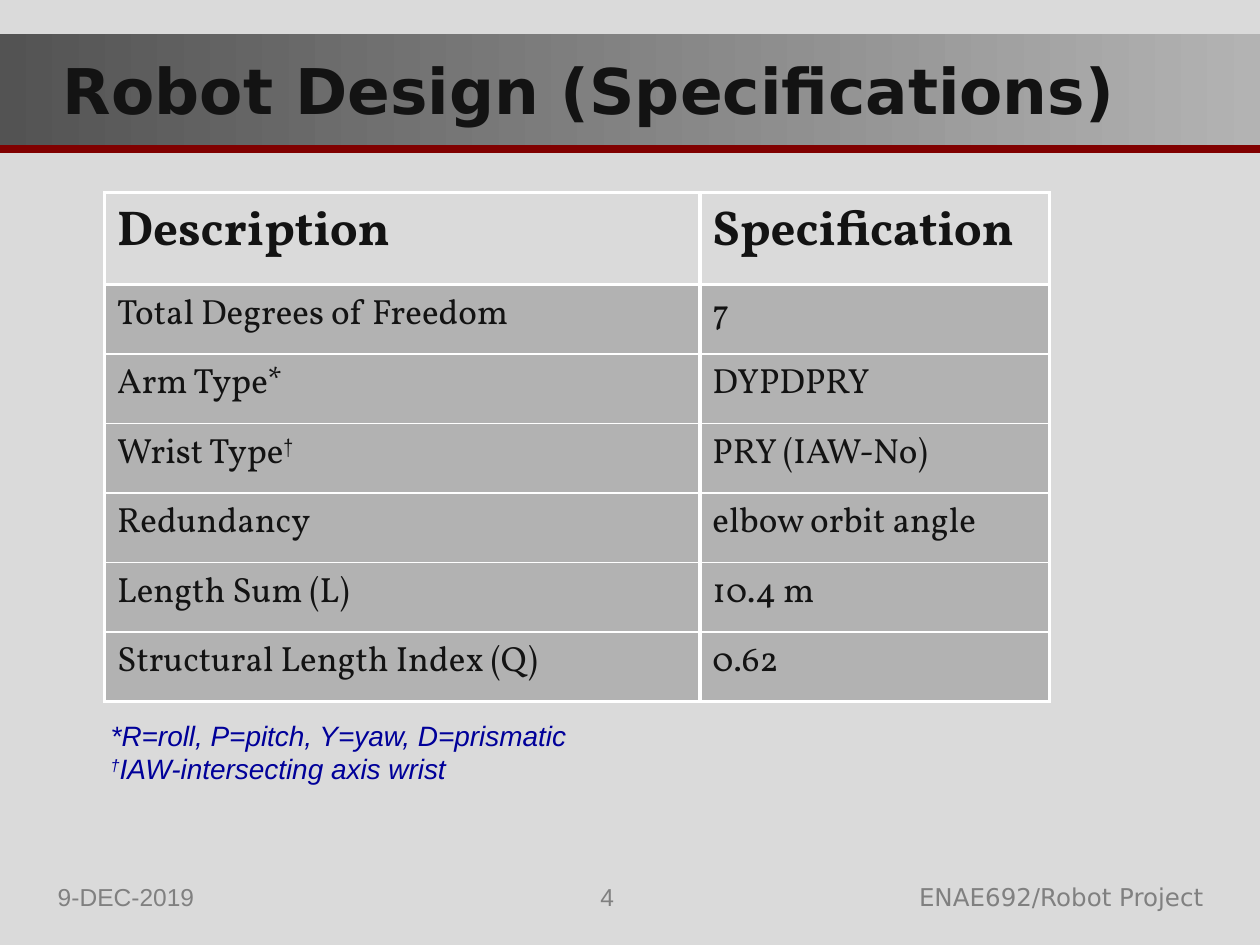
from dataclasses import dataclass
from lxml import etree
from pptx import Presentation
from pptx.dml.color import RGBColor
from pptx.enum import shapes, text
from pptx.oxml import ns
from pptx.util import Inches, Pt


@dataclass(frozen=True)
class Theme:
    back: str = "DADADA"
    ink: str = "131313"
    dark: str = "535353"
    light: str = "B3B3B3"
    rule: str = "800000"
    cell: str = "B2B2B2"
    edge: str = "FFFFFF"
    note: str = "000099"
    foot: str = "808080"
    sans: str = "DejaVu Sans"
    serif: str = "Vollkorn"
    plain: str = "Arial"
    title: int = 36
    head: int = 28
    body: int = 20
    small: int = 16
    tiny: int = 14
    thick: float = 2.25
    thin: float = 1


@dataclass(frozen=True)
class Box:
    x: float
    y: float
    w: float
    h: float

    def inner(self, x, y, w, h):
        return Box(self.x + x * self.w, self.y + y * self.h, w * self.w, h * self.h)

    def place(self):
        return [Inches(n) for n in (self.x, self.y, self.w, self.h)]


LOOK = Theme()
ALIGN = text.PP_ALIGN
ROWS = [
    ("Description", "Specification"),
    ("Total Degrees of Freedom", "7"),
    ("Arm Type*", "DYPDPRY"),
    ("Wrist Type†", "PRY (IAW-No)"),
    ("Redundancy", "elbow orbit angle"),
    ("Length Sum (L)", "10.4 m"),
    ("Structural Length Index (Q)", "0.62"),
]
NOTES = ["*R=roll, P=pitch, Y=yaw, D=prismatic", "†IAW-intersecting axis wrist"]


def tint(code):
    return RGBColor.from_string(code)


def write(para, words, face, size, color, bold=False, slant=False, align=ALIGN.LEFT):
    font = para.font
    font.name, font.size, font.bold, font.italic = face, Pt(size), bold, slant
    font.color.rgb = tint(color)
    para.alignment = align
    start, mark, rest = words.partition("†")
    for piece in filter(None, (start, mark, rest)):
        run = para.add_run()
        run.text = piece
        if piece == "†":
            run._r.get_or_add_rPr().set("baseline", "30000")


def label(slide, box, lines, *style, wrap=True, **extra):
    frame = slide.shapes.add_textbox(*box.place()).text_frame
    frame.word_wrap = wrap
    for i, line in enumerate(lines):
        para = frame.add_paragraph() if i else frame.paragraphs[0]
        write(para, line, *style, **extra)
    return frame


def banner(slide, box):
    line = slide.shapes.add_connector(
        shapes.MSO_CONNECTOR.STRAIGHT,
        *[Inches(n) for n in (box.x, box.y + box.h, box.x + box.w, box.y + box.h)])
    line.line.color.rgb = tint(LOOK.rule)
    line.line.width = Pt(4.5)
    etree.SubElement(line._element.spPr, ns.qn("a:effectLst"))

    bar = slide.shapes.add_shape(
        shapes.MSO_SHAPE.RECTANGLE, *box.inner(0, 0, 1, 0.97).place())
    bar.shadow.inherit = False
    bar.line.fill.background()
    bar.fill.gradient()
    bar.fill.gradient_angle = 0
    for stop, color in zip(bar.fill.gradient_stops, (LOOK.dark, LOOK.light)):
        stop.color.rgb = tint(color)
    frame = bar.text_frame
    frame.word_wrap = True
    frame.margin_left = Inches(0.5)
    frame.vertical_anchor = text.MSO_ANCHOR.MIDDLE
    write(frame.paragraphs[0], "Robot Design (Specifications)",
          LOOK.sans, LOOK.title, LOOK.ink, bold=True)


def edges(cell, top, base):
    props = cell._tc.get_or_add_tcPr()
    widths = {"L": LOOK.thick, "R": LOOK.thick, "T": top, "B": base}
    for side, width in widths.items():
        line = etree.SubElement(props, ns.qn(f"a:ln{side}"), w=str(Pt(width)))
        fill = etree.SubElement(line, ns.qn("a:solidFill"))
        etree.SubElement(fill, ns.qn("a:srgbClr"), val=LOOK.edge)


def specs(slide, box):
    last = len(ROWS) - 1
    grid = slide.shapes.add_table(len(ROWS), 2, *box.place()).table
    grid.first_row = grid.horz_banding = False
    for col, share in zip(grid.columns, (0.63, 0.37)):
        col.width = Inches(box.w * share)
    top = 0.18
    for i, words in enumerate(ROWS):
        head = i == 0
        share = top if head else (1 - top) / last
        grid.rows[i].height = Inches(box.h * share)
        size = LOOK.head if head else LOOK.body
        for j, word in enumerate(words):
            cell = grid.cell(i, j)
            edges(cell, LOOK.thick if i < 2 else LOOK.thin,
                  LOOK.thick if i in (0, last) else LOOK.thin)
            if head:
                cell.fill.background()
            else:
                cell.fill.solid()
                cell.fill.fore_color.rgb = tint(LOOK.cell)
            para = cell.text_frame.paragraphs[0]
            para.space_before = Pt(size * 0.2)
            write(para, word, LOOK.serif, size, LOOK.ink, bold=head)


def notes(slide, box):
    frame = label(slide, box, NOTES, LOOK.plain, LOOK.small, LOOK.note,
                  wrap=False, slant=True)
    frame.auto_size = text.MSO_AUTO_SIZE.SHAPE_TO_FIT_TEXT


def footer(slide, box):
    items = [
        (0, 0.25, "9-DEC-2019", LOOK.plain, ALIGN.LEFT),
        (0.65, 0.35, "ENAE692/Robot Project", LOOK.sans, ALIGN.RIGHT),
        (0.39, 0.18, "4", LOOK.plain, ALIGN.CENTER),
    ]
    for x, w, words, face, align in items:
        label(slide, box.inner(x, 0, w, 1), [words], face, LOOK.tiny,
              LOOK.foot, align=align)


def main():
    deck = Presentation()
    page = Box(0, 0, 10, 7.5)
    deck.slide_width, deck.slide_height = Inches(page.w), Inches(page.h)
    slide = deck.slides.add_slide(deck.slide_layouts[6])
    slide.background.fill.solid()
    slide.background.fill.fore_color.rgb = tint(LOOK.back)
    banner(slide, Box(0, 0.27, page.w, 0.91))
    specs(slide, Box(0.83, 1.53, 7.5, 4.04))
    notes(slide, Box(0.78, 5.65, 3.85, 0.64))
    footer(slide, Box(0.36, 6.95, 9.29, 0.4))
    deck.save("out.pptx")


if __name__ == "__main__":
    main()
